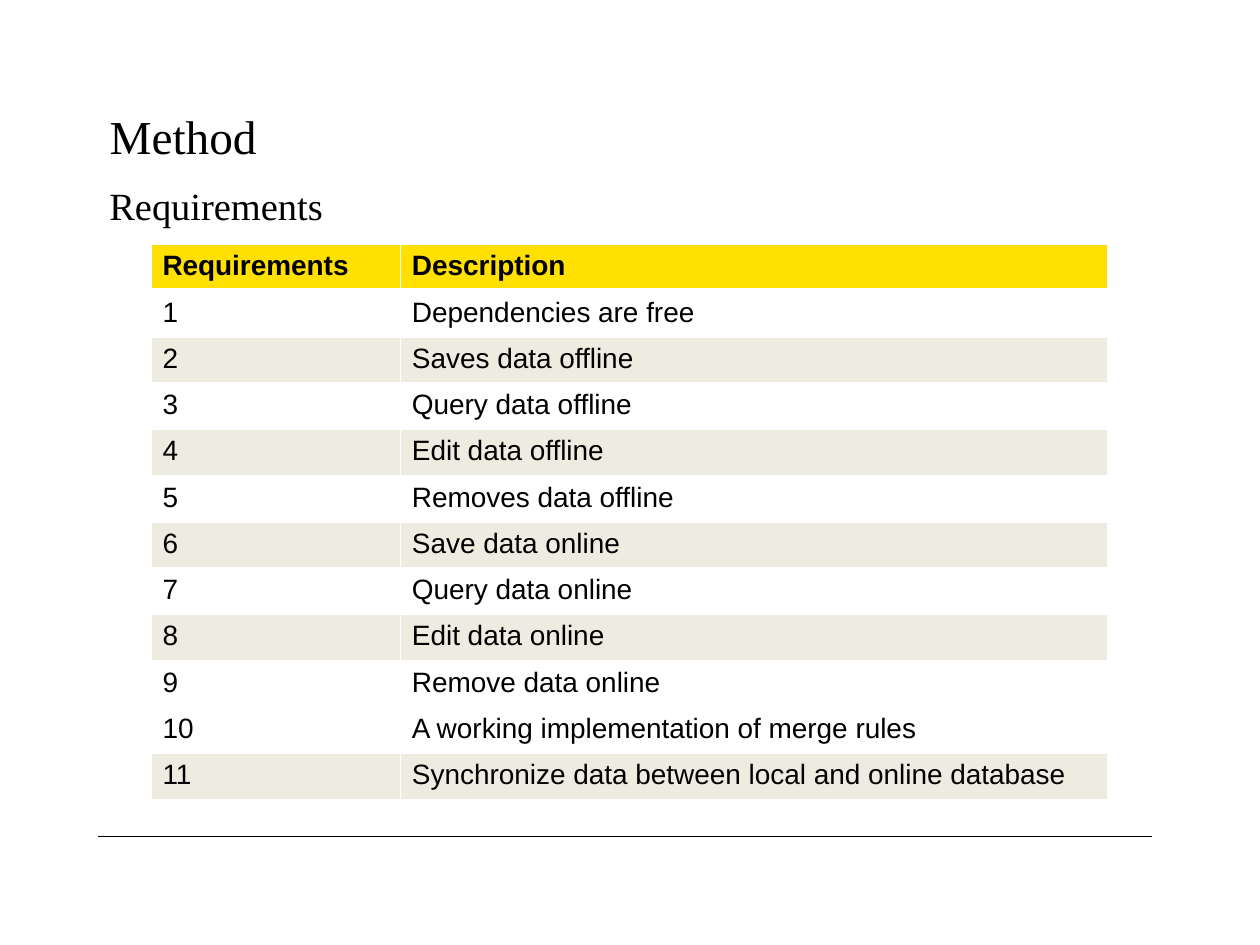
from dataclasses import dataclass

from lxml.etree import SubElement
from pptx import Presentation
from pptx.dml.color import RGBColor
from pptx.enum.shapes import MSO_CONNECTOR
from pptx.enum.text import MSO_ANCHOR, PP_ALIGN
from pptx.oxml.ns import qn
from pptx.util import Inches, Pt

BLACK = RGBColor(0x00, 0x00, 0x00)
WHITE = RGBColor(0xFF, 0xFF, 0xFF)
YELLOW = RGBColor(0xFF, 0xE0, 0x00)
BEIGE = RGBColor(0xEE, 0xEC, 0xE1)

HEADING_LEFT, HEADING_WIDTH, HEADING_HEIGHT = 0.77, 8.36, 0.83
TABLE_LEFT, TABLE_TOP, TABLE_HEIGHT = 1.2, 1.94, 4.36
COLUMN_WIDTHS = (1.98, 5.61)
SHADED_REQUIREMENTS = {2, 4, 6, 8, 11}

DESCRIPTIONS = (
    "Dependencies are free",
    "Saves data offline",
    "Query data offline",
    "Edit data offline",
    "Removes data offline",
    "Save data online",
    "Query data online",
    "Edit data online",
    "Remove data online",
    "A working implementation of merge rules",
    "Synchronize data between local and online database",
)


@dataclass(frozen=True)
class TableRow:
    texts: tuple[str, str]
    fill: RGBColor
    bold: bool = False
    top_border: float = 1
    bottom_border: float = 1


def add_run(paragraph, text: str, size: float, font: str, bold: bool = False) -> None:
    run = paragraph.add_run()
    run.text = text
    run.font.size = Pt(size)
    run.font.name = font
    run.font.bold = bold
    run.font.color.rgb = BLACK


def format_heading(shape, text: str, top: float, size: float) -> None:
    shape.left, shape.top = Inches(HEADING_LEFT), Inches(top)
    shape.width, shape.height = Inches(HEADING_WIDTH), Inches(HEADING_HEIGHT)
    frame = shape.text_frame
    frame.word_wrap = True
    frame.vertical_anchor = MSO_ANCHOR.TOP
    paragraph = frame.paragraphs[0]
    paragraph.alignment = PP_ALIGN.LEFT
    paragraph.line_spacing = Pt(27)
    add_run(paragraph, text, size, "Times New Roman")


def add_border(cell, side: str, width: float) -> None:
    properties = cell._tc.get_or_add_tcPr()
    border = SubElement(properties, qn(f"a:ln{side}"), w=str(Pt(width)))
    fill = SubElement(border, qn("a:solidFill"))
    SubElement(fill, qn("a:srgbClr"), val=str(WHITE))


def fill_cell(cell, text: str, row: TableRow) -> None:
    cell.margin_left = cell.margin_right = Inches(0.09)
    cell.margin_top = cell.margin_bottom = Inches(0.05)
    borders = {"L": 1, "R": 1, "T": row.top_border, "B": row.bottom_border}
    for side, width in borders.items():
        add_border(cell, side, width)
    cell.fill.solid()
    cell.fill.fore_color.rgb = row.fill
    add_run(cell.text_frame.paragraphs[0], text, 16, "Arial", row.bold)


def add_requirements_table(slide, rows: list[TableRow]) -> None:
    table = slide.shapes.add_table(
        len(rows), len(COLUMN_WIDTHS), Inches(TABLE_LEFT), Inches(TABLE_TOP),
        Inches(sum(COLUMN_WIDTHS)), Inches(TABLE_HEIGHT),
    ).table
    for column, width in zip(table.columns, COLUMN_WIDTHS):
        column.width = Inches(width)
    for index, row in enumerate(rows):
        table.rows[index].height = Inches(TABLE_HEIGHT / len(rows))
        for cell, text in zip(table.rows[index].cells, row.texts):
            fill_cell(cell, text, row)


def add_footer_rule(slide) -> None:
    rule = slide.shapes.add_connector(
        MSO_CONNECTOR.STRAIGHT, Inches(0.78), Inches(6.64), Inches(9.14), Inches(6.64)
    )
    rule.line.color.rgb = BLACK
    rule.line.width = Pt(0.5)
    SubElement(rule._element.spPr, qn("a:effectLst"))


def main() -> None:
    presentation = Presentation()
    presentation.slide_width, presentation.slide_height = Inches(10), Inches(7.5)
    slide = presentation.slides.add_slide(presentation.slide_layouts[5])

    add_footer_rule(slide)
    format_heading(slide.shapes.title, "Method", 0.88, 27)
    subtitle = slide.shapes.add_textbox(0, 0, 0, 0)
    format_heading(subtitle, "Requirements", 1.39, 22)

    rows = [TableRow(("Requirements", "Description"), YELLOW, bold=True, bottom_border=3)]
    for number, description in enumerate(DESCRIPTIONS, start=1):
        fill = BEIGE if number in SHADED_REQUIREMENTS else WHITE
        top_border = 3 if number == 1 else 1
        rows.append(TableRow((str(number), description), fill, top_border=top_border))
    add_requirements_table(slide, rows)

    presentation.save("out.pptx")


if __name__ == "__main__":
    main()
